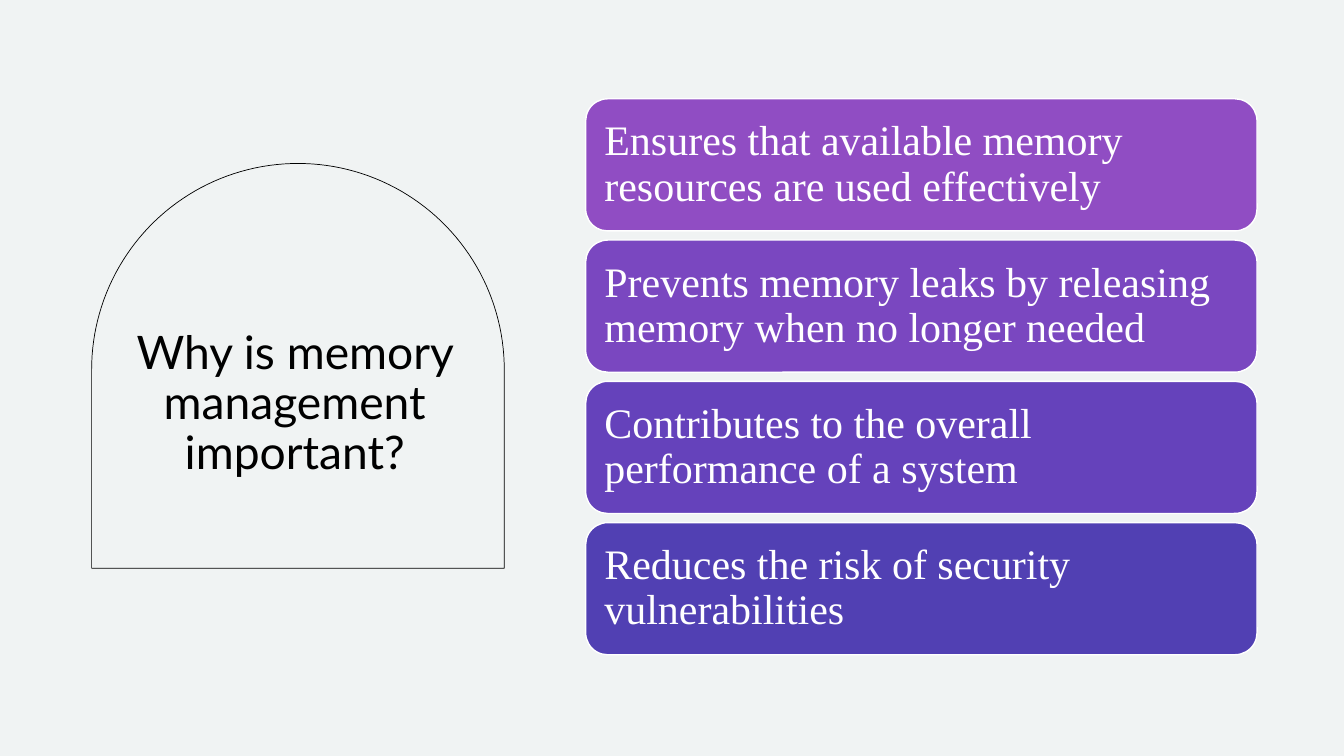
import math

from pptx import Presentation
from pptx import util as u
from pptx.dml import color
from pptx.enum import shapes, text

COLOURS = {"background": "F0F3F3", "ink": "000000", "white": "FFFFFF"}
REASONS = [
    ("Ensures that available memory resources are used effectively", "904DC3"),
    ("Prevents memory leaks by releasing memory when no longer needed", "7A47C0"),
    ("Contributes to the overall performance of a system", "6542BB"),
    ("Reduces the risk of security vulnerabilities", "5140B3"),
]
CARD_TOP = 2.49
CARD_PITCH = 3.56
ARC_STEPS = 90


def rgb(value):
    return color.RGBColor.from_string(value)


def write_text(box, words, font, size, colour, align, inset_x, inset_y):
    frame = box.text_frame
    frame.word_wrap = True
    frame.vertical_anchor = text.MSO_ANCHOR.MIDDLE
    frame.margin_left = frame.margin_right = u.Cm(inset_x)
    frame.margin_top = frame.margin_bottom = u.Cm(inset_y)
    para = frame.paragraphs[0]
    para.alignment = align
    para.line_spacing = 0.9
    span = para.add_run()
    span.text = words
    span.font.name = font
    span.font.size = u.Pt(size)
    span.font.color.rgb = rgb(colour)


def set_outline(shape, colour, width):
    shape.shadow.inherit = False
    shape.line.color.rgb = rgb(colour)
    shape.line.width = u.Pt(width)


def add_arch(page, left, top, width, height):
    radius = width / 2
    arc = []
    for step in range(ARC_STEPS + 1):
        angle = math.pi * step / ARC_STEPS
        x = left + radius - radius * math.cos(angle)
        y = top + radius - radius * math.sin(angle)
        arc.append((u.Cm(x), u.Cm(y)))
    bottom = u.Cm(top + height)
    builder = page.shapes.build_freeform(u.Cm(left), bottom)
    builder.add_line_segments(arc + [(u.Cm(left + width), bottom)], close=True)
    arch = builder.convert_to_shape()
    arch.fill.background()
    set_outline(arch, COLOURS["ink"], 0.5)


def add_title(page, words):
    box = page.shapes.add_textbox(u.Cm(2.97), u.Cm(6.88), u.Cm(8.92), u.Cm(6.63))
    write_text(box, words, "Lato", 33, COLOURS["ink"],
               text.PP_ALIGN.CENTER, 0.25, 0.13)


def add_card(page, top, words, fill):
    card = page.shapes.add_shape(
        shapes.MSO_SHAPE.ROUNDED_RECTANGLE,
        u.Cm(14.76), u.Cm(top), u.Cm(16.92), u.Cm(3.33))
    card.fill.solid()
    card.fill.fore_color.rgb = rgb(fill)
    set_outline(card, COLOURS["white"], 1)
    write_text(card, words, "Times New Roman", 30, COLOURS["white"],
               text.PP_ALIGN.LEFT, 0.31, 0.31)


def main():
    deck = Presentation()
    deck.slide_width = u.Cm(33.87)
    deck.slide_height = u.Cm(19.05)
    page = deck.slides.add_slide(deck.slide_layouts[6])
    page.background.fill.solid()
    page.background.fill.fore_color.rgb = rgb(COLOURS["background"])
    add_title(page, "Why is memory management important?")
    add_arch(page, 2.31, 4.12, 10.4, 10.2)
    for index, (words, fill) in enumerate(REASONS):
        add_card(page, CARD_TOP + index * CARD_PITCH, words, fill)
    deck.save("out.pptx")


if __name__ == "__main__":
    main()
